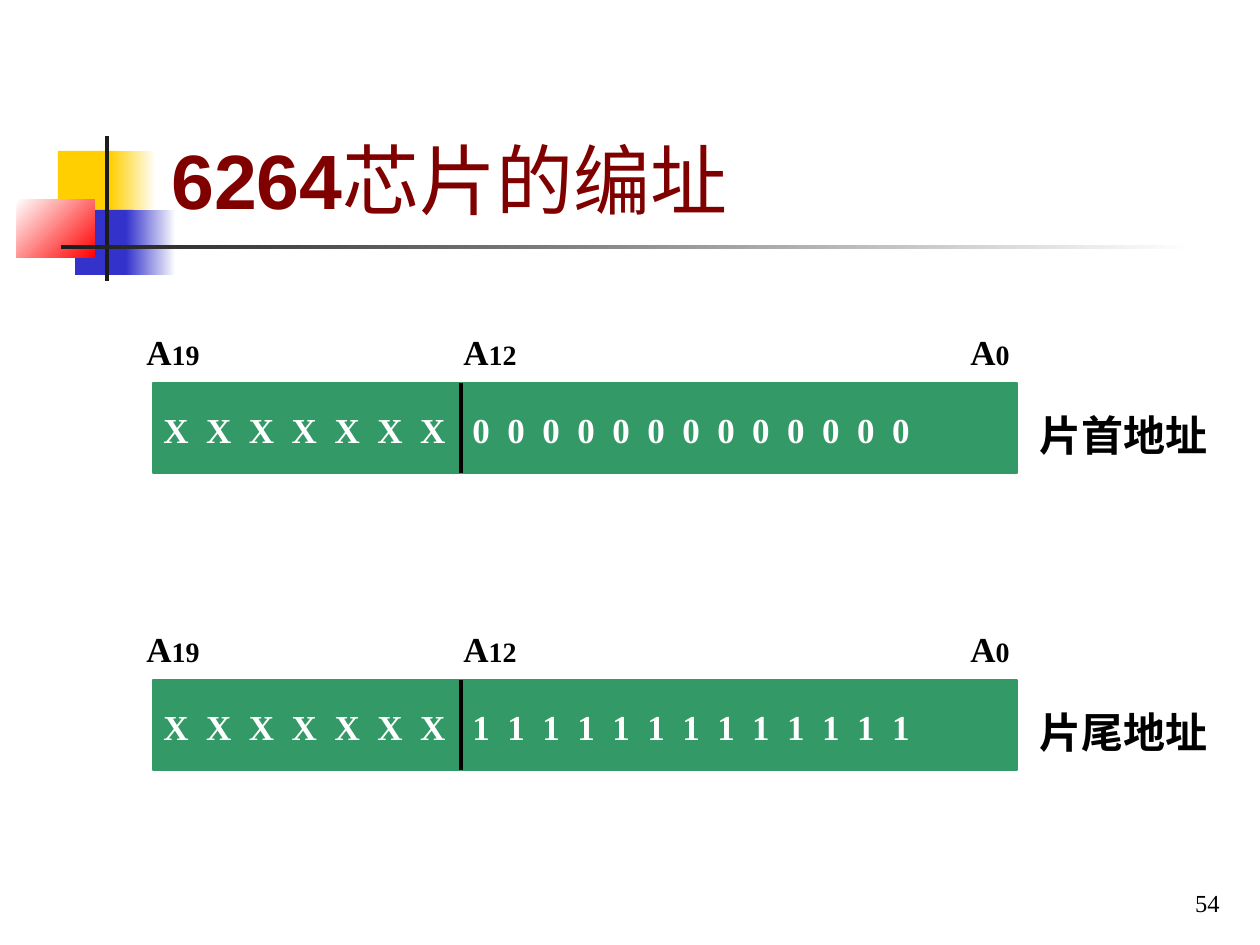
from dataclasses import dataclass
from typing import Optional

from pptx import Presentation
from pptx.dml.color import RGBColor
from pptx.enum.shapes import MSO_CONNECTOR, MSO_SHAPE
from pptx.enum.text import MSO_ANCHOR, PP_ALIGN
from pptx.oxml.ns import qn
from pptx.util import Emu, Pt
from lxml import etree

RECTANGLE = MSO_SHAPE.RECTANGLE
STRAIGHT = MSO_CONNECTOR.STRAIGHT
TOP, BOTTOM = MSO_ANCHOR.TOP, MSO_ANCHOR.BOTTOM
LEFT, RIGHT = PP_ALIGN.LEFT, PP_ALIGN.RIGHT

PX = 914400 / 126  # EMU in one px


@dataclass(frozen=True)
class Theme:
    serif: str = "Times New Roman"
    sans: str = "Arial"
    white: str = "FFFFFF"
    black: str = "000000"
    ink: str = "1C1C1C"
    yellow: str = "FFCF01"
    blue: str = "3333CC"
    red: str = "FF0000"
    green: str = "339966"
    maroon: str = "800000"
    title_size: int = 44
    name_size: int = 24
    bit_size: int = 20
    index_size: int = 16
    page_size: int = 14
    bit_tracking: float = 2.5


THEME = Theme()


@dataclass(frozen=True)
class Box:
    left: int
    top: int
    width: int
    height: int


@dataclass(frozen=True)
class Block:
    box: Box
    color: str
    fade_to: Optional[str] = None
    angle: int = 0
    outline: Optional[str] = None


@dataclass(frozen=True)
class TextRun:
    text: str
    size: int
    color: str = THEME.black
    bold: bool = True
    font: str = THEME.serif
    tracking: float = 0


@dataclass(frozen=True)
class AddressRow:
    top: int
    chip_bit: str
    name: str


def px(length: int) -> Emu:
    return Emu(round(length * PX))


def place(box: Box) -> tuple:
    return px(box.left), px(box.top), px(box.width), px(box.height)


def draw_block(slide, block: Block) -> None:
    shape = slide.shapes.add_shape(RECTANGLE, *place(block.box))
    shape.shadow.inherit = False
    if block.fade_to:
        shape.fill.gradient()
        shape.fill.gradient_angle = block.angle
        for stop, color in zip(shape.fill.gradient_stops, (block.color, block.fade_to)):
            stop.color.rgb = RGBColor.from_string(color)
    else:
        shape.fill.solid()
        shape.fill.fore_color.rgb = RGBColor.from_string(block.color)
    if block.outline:
        shape.line.color.rgb = RGBColor.from_string(block.outline)
        shape.line.width = Pt(1)
    else:
        shape.line.fill.background()


def draw_text(slide, box: Box, runs: list[TextRun], align=LEFT, anchor=TOP) -> None:
    frame = slide.shapes.add_textbox(*place(box)).text_frame
    frame.word_wrap = True
    frame.vertical_anchor = anchor
    paragraph = frame.paragraphs[0]
    paragraph.alignment = align
    for part in runs:
        run = paragraph.add_run()
        run.text = part.text
        run.font.name = part.font
        run.font.size = Pt(part.size)
        run.font.bold = part.bold
        run.font.color.rgb = RGBColor.from_string(part.color)
        if part.tracking:
            run._r.get_or_add_rPr().set("spc", str(round(part.tracking * 100)))


def draw_divider(slide, x: int, top: int, height: int) -> None:
    divider = slide.shapes.add_connector(STRAIGHT, px(x), px(top), px(x), px(top + height))
    divider.line.color.rgb = RGBColor.from_string(THEME.black)
    divider.line.width = Pt(1.75)
    etree.SubElement(divider._element.spPr, qn("a:effectLst"))


def draw_bits(slide, box: Box, bit: str, count: int) -> None:
    bits = " ".join([bit] * count)
    draw_text(slide, box, [TextRun(bits, THEME.bit_size, THEME.white,
                                   tracking=THEME.bit_tracking)])


# Corner ornament and the rule under the title
ORNAMENT = [
    Block(Box(58, 151, 60, 66), THEME.yellow),
    Block(Box(110, 151, 46, 66), THEME.yellow, THEME.white),
    Block(Box(75, 210, 58, 65), THEME.blue),
    Block(Box(126, 210, 50, 65), THEME.blue, THEME.white),
    Block(Box(17, 199, 78, 59), THEME.white, THEME.red, angle=315),
    Block(Box(105, 136, 4, 145), THEME.ink),
    Block(Box(61, 245, 1134, 4), THEME.ink, THEME.white),
]

# Address bars
BAR_LEFT, BAR_WIDTH, BAR_HEIGHT = 153, 864, 90
DIVIDER_X = 461
INDEX_LEFTS = {"19": 134, "12": 451, "0": 958}
ROWS = [AddressRow(383, "0", "片首地址"), AddressRow(680, "1", "片尾地址")]


def draw_address_row(slide, row: AddressRow) -> None:
    draw_block(slide, Block(Box(BAR_LEFT, row.top, BAR_WIDTH, BAR_HEIGHT),
                            THEME.green, outline=THEME.green))
    draw_divider(slide, DIVIDER_X, row.top, BAR_HEIGHT)
    for index, left in INDEX_LEFTS.items():
        draw_text(slide, Box(left, row.top - 59, 100, 55),
                  [TextRun("A", THEME.bit_size), TextRun(index, THEME.index_size)])
    draw_bits(slide, Box(151, row.top + 19, 318, 55), "X", 7)
    draw_bits(slide, Box(460, row.top + 19, 566, 55), row.chip_bit, 13)
    draw_text(slide, Box(1027, row.top + 20, 205, 63), [TextRun(row.name, THEME.name_size)])


def main() -> None:
    deck = Presentation()
    deck.slide_width, deck.slide_height = px(1260), px(945)
    slide = deck.slides.add_slide(deck.slide_layouts[6])

    for block in ORNAMENT:
        draw_block(slide, block)

    # Title and page number
    draw_text(slide, Box(159, 29, 1074, 202), [
        TextRun("6264", THEME.title_size, THEME.maroon, True, THEME.sans),
        TextRun("芯片的编址", THEME.title_size, THEME.maroon, False, THEME.sans),
    ], anchor=BOTTOM)
    draw_text(slide, Box(970, 861, 262, 63),
              [TextRun("54", THEME.page_size, bold=False)], RIGHT, BOTTOM)

    for row in ROWS:
        draw_address_row(slide, row)

    deck.save("out.pptx")


if __name__ == "__main__":
    main()
